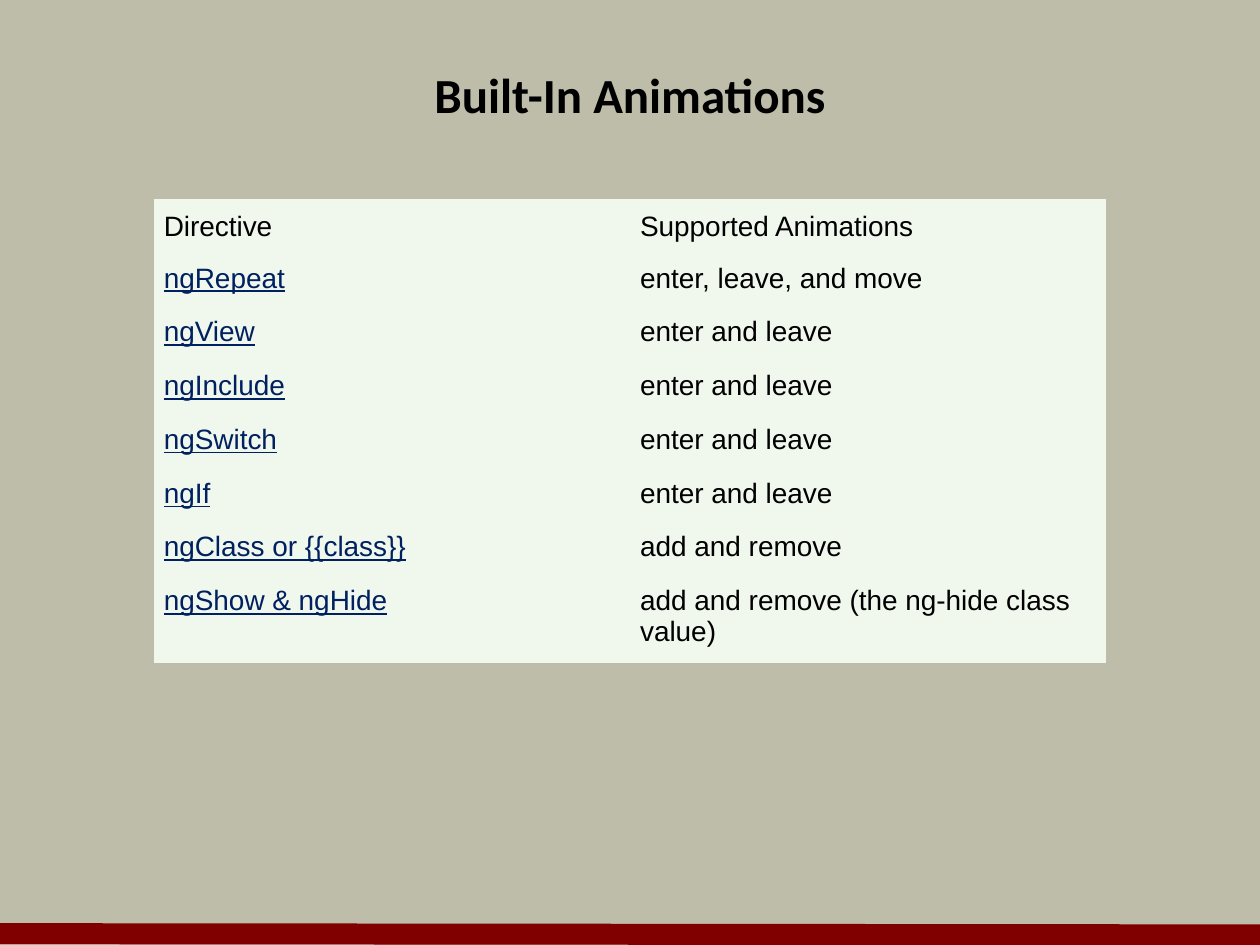
from lxml import etree
from pptx import Presentation
from pptx.dml.color import RGBColor
from pptx.enum.shapes import MSO_CONNECTOR
from pptx.enum.text import MSO_ANCHOR, PP_ALIGN
from pptx.oxml.ns import qn
from pptx.util import Inches, Pt

STRAIGHT = MSO_CONNECTOR.STRAIGHT
TOP, MIDDLE, BOTTOM = MSO_ANCHOR.TOP, MSO_ANCHOR.MIDDLE, MSO_ANCHOR.BOTTOM
CENTER = PP_ALIGN.CENTER

COLORS = {
    "back": "BDBDA9",
    "bar": "800000",
    "cell": "F0F7ED",
    "text": "000000",
    "link": "002060",
}
ROWS = [
    ("Directive", "Supported Animations"),
    ("ngRepeat", "enter, leave, and move"),
    ("ngView", "enter and leave"),
    ("ngInclude", "enter and leave"),
    ("ngSwitch", "enter and leave"),
    ("ngIf", "enter and leave"),
    ("ngClass or {{class}}", "add and remove"),
    ("ngShow & ngHide", "add and remove (the ng-hide class value)"),
]
ROW_H, LAST_H, PAD = 0.41, 0.66, 0.08


def color(name):
    return RGBColor.from_string(COLORS[name])


def add_run(para, text, font, size, tint="text", bold=False, under=False):
    run = para.add_run()
    run.text = text
    run.font.name = font
    run.font.size = Pt(size)
    run.font.bold = bold
    run.font.underline = under
    run.font.color.rgb = color(tint)


def add_bar(slide, left, top, width, drop):
    """Draw the thick footer line, falling by drop across its width."""
    bar = slide.shapes.add_connector(
        STRAIGHT, Inches(left), Inches(top), Inches(left + width), Inches(top + drop))
    bar.line.color.rgb = color("bar")
    bar.line.width = Pt(12)
    etree.SubElement(bar._element.spPr, qn("a:effectLst"))


def add_title(slide, left, top, width, height):
    box = slide.shapes.add_textbox(
        Inches(left), Inches(top), Inches(width), Inches(height))
    frame = box.text_frame
    frame.word_wrap = True
    frame.vertical_anchor = MIDDLE
    para = frame.paragraphs[0]
    para.alignment = CENTER
    add_run(para, "Built-In Animations", "Calibri", 28, bold=True)


def fill_cell(cell, text, head, link):
    cell.fill.solid()
    cell.fill.fore_color.rgb = color("cell")
    cell.margin_left = cell.margin_right = Inches(PAD)
    cell.margin_top = cell.margin_bottom = Inches(PAD)
    cell.vertical_anchor = BOTTOM if head else TOP
    add_run(cell.text_frame.paragraphs[0], text, "Arial", 16,
            tint="link" if link else "text", under=link)


def add_grid(slide, left, top, width):
    """Place the directive table; its height follows from its rows."""
    height = ROW_H * (len(ROWS) - 1) + LAST_H
    table = slide.shapes.add_table(
        len(ROWS), 2, Inches(left), Inches(top), Inches(width), Inches(height)).table
    table.horz_banding = False
    table.first_row = False
    for col in table.columns:
        col.width = Inches(width / 2)
    for r, texts in enumerate(ROWS):
        table.rows[r].height = Inches(LAST_H if r == len(ROWS) - 1 else ROW_H)
        for c, text in enumerate(texts):
            fill_cell(table.cell(r, c), text, head=r == 0, link=r > 0 and c == 0)
    clear_style(table)


def clear_style(table):
    """Switch to the plain style, which has no cell borders."""
    style = table._tbl.tblPr.find(qn("a:tableStyleId"))
    style.text = "{2D5ABB26-0587-4C30-8999-92F81FD0307C}"


def main():
    deck = Presentation()
    deck.slide_width, deck.slide_height = Inches(10), Inches(7.5)
    slide = deck.slides.add_slide(deck.slide_layouts[6])
    back = slide.background.fill
    back.solid()
    back.fore_color.rgb = color("back")
    add_bar(slide, 0, 7.41, 10, 0.01)
    add_title(slide, 0.5, 0.33, 9, 0.83)
    add_grid(slide, 1.22, 1.58, 7.56)
    deck.save("out.pptx")


if __name__ == "__main__":
    main()
